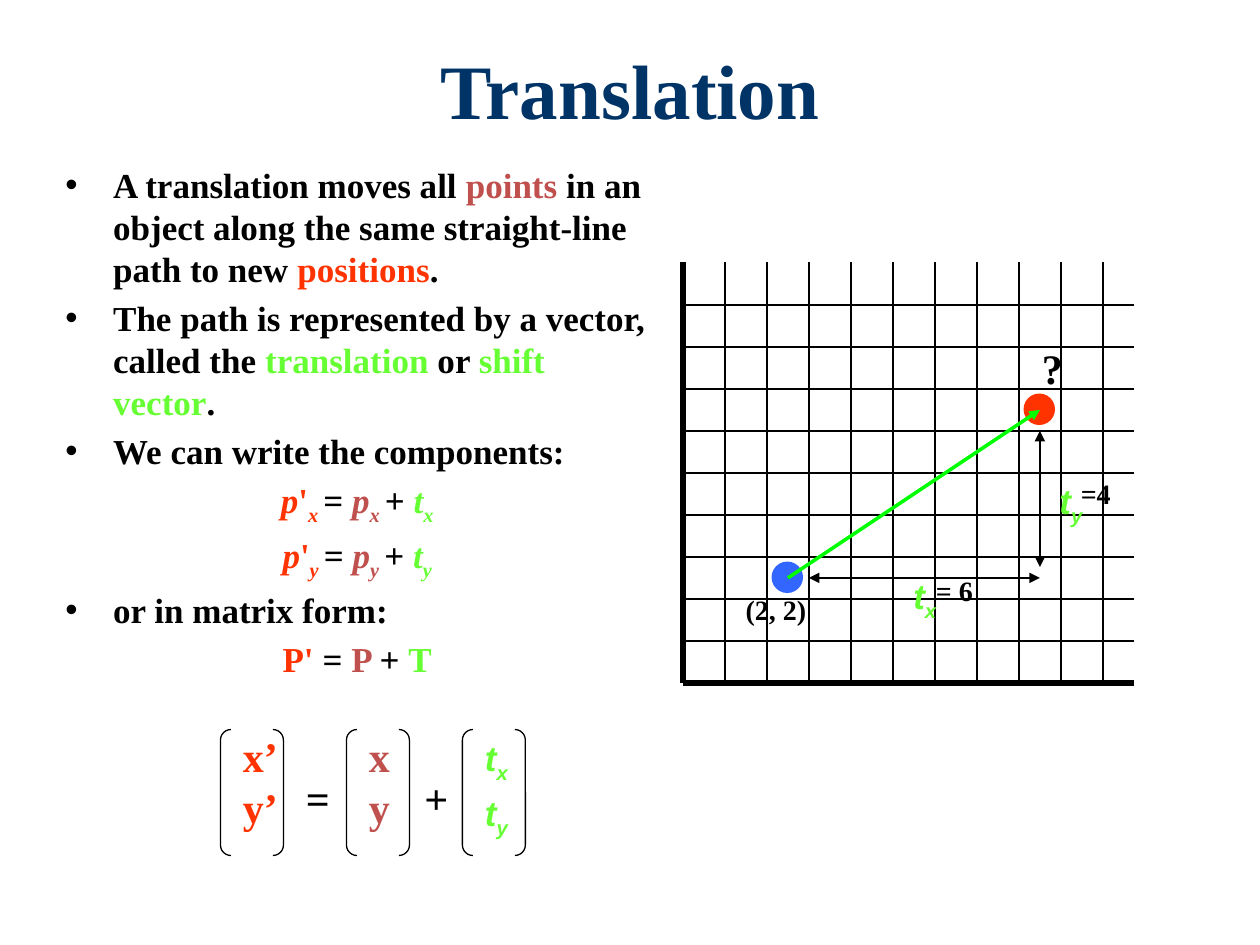
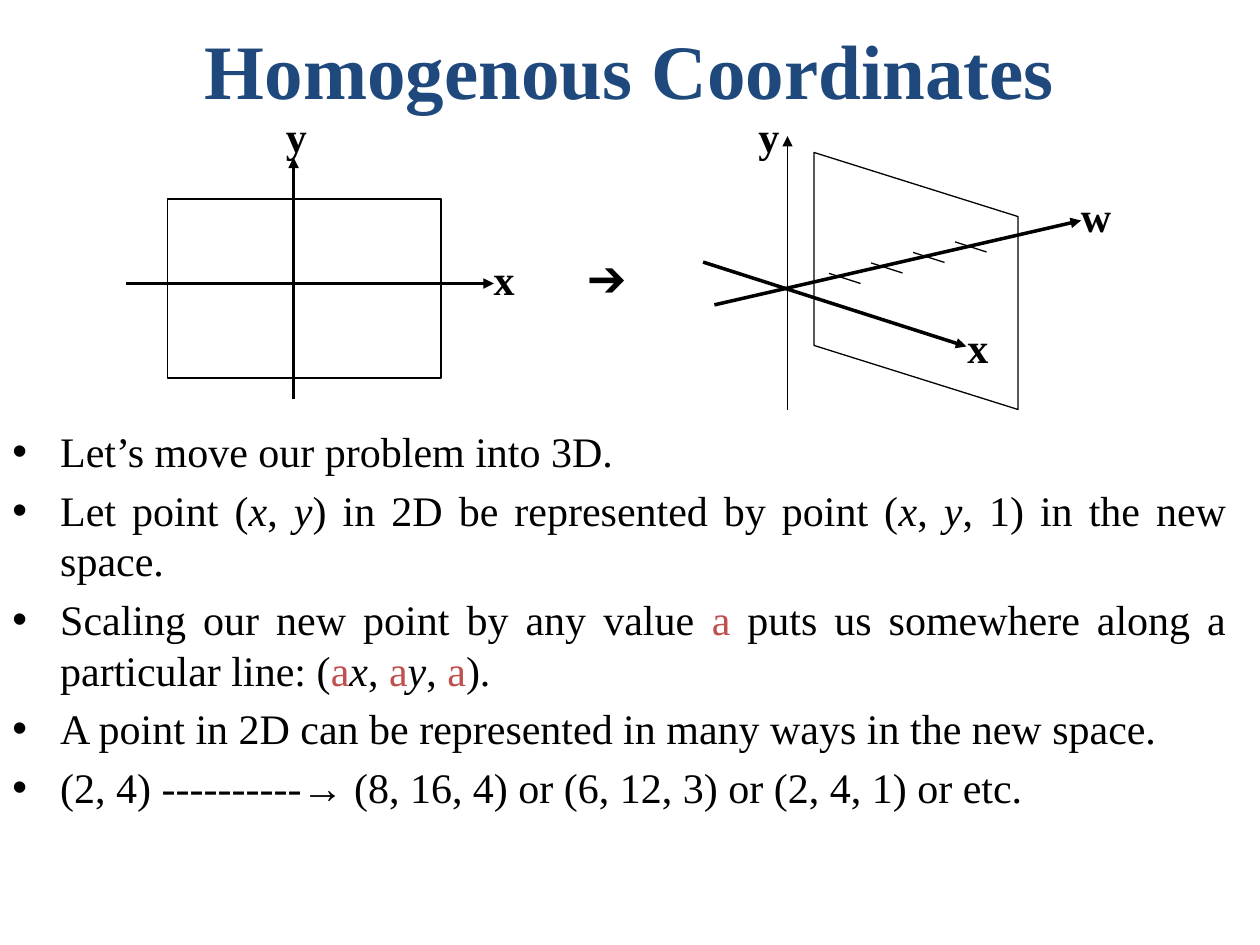
from lxml import etree
from pptx import Presentation
from pptx import util as u
from pptx.dml.color import RGBColor
from pptx.enum import shapes, text
from pptx.oxml.ns import qn

SERIF, SANS = "Times New Roman", "Arial"
BLACK, NAVY, BLUE_TITLE = "000000", "003366", "1F497D"
RED, BRICK, LIME, GREEN, BLUE = "FF3300", "C0504D", "66FF33", "00FF00", "3366FF"
THIN, AXIS, FRAME = 0.75, 2, 3
INDENT = 0.38
SHAPE, ALIGN = shapes.MSO_SHAPE, text.PP_ALIGN

# Coordinate grid of the translation diagram
ORIGIN_X, ORIGIN_Y, CELL = 5.42, 5.42, 1 / 3
GRID_RIGHT, GRID_TOP = 9, 2.08


def color(hex_code):
    return RGBColor.from_string(hex_code)


# Text: a run is (text, colour, flags), flags being i = italic, s = subscript
def add_runs(paragraph, runs, size, bold=True, font=SERIF):
    for words, hue, flags in runs:
        run = paragraph.add_run()
        run.text = words
        run.font.name, run.font.size = font, u.Pt(size)
        run.font.bold, run.font.italic = bold, "i" in flags
        run.font.color.rgb = color(hue)
        if "s" in flags:
            run._r.get_or_add_rPr().set("baseline", "-25000")


def add_frame(slide, left, top, width, height, wrap):
    box = slide.shapes.add_textbox(*map(u.Inches, (left, top, width, height)))
    box.text_frame.word_wrap = wrap
    return box.text_frame


def paragraphs(frame, count):
    return [frame.paragraphs[0]] + [frame.add_paragraph() for _ in range(count - 1)]


def add_title(slide, words, top, hue):
    frame = add_frame(slide, 0.75, top, 8.5, 1.25, True)
    frame.vertical_anchor = text.MSO_ANCHOR.MIDDLE
    frame.paragraphs[0].alignment = ALIGN.CENTER
    add_runs(frame.paragraphs[0], [(words, hue, "")], 44)


def add_body(slide, place, items, size, bold, space):
    """Each item is (alignment, bulleted, runs)."""
    frame = add_frame(slide, *place, True)
    for n, (paragraph, item) in enumerate(zip(paragraphs(frame, len(items)), items)):
        alignment, bulleted, runs = item
        paragraph.alignment = alignment
        paragraph.space_before = u.Pt(space if n else 0)
        props = paragraph._p.get_or_add_pPr()
        props.set("marL", str(u.Inches(INDENT)))
        props.set("indent", str(-u.Inches(INDENT)))
        if bulleted:
            etree.SubElement(props, qn("a:buFont")).set("typeface", SANS)
            etree.SubElement(props, qn("a:buChar")).set("char", "•")
        add_runs(paragraph, runs, size, bold)


def add_label(slide, place, lines, size=24, font=SERIF, space=0):
    """Short unwrapped text; each line is a list of runs."""
    frame = add_frame(slide, *place, False)
    frame.auto_size = text.MSO_AUTO_SIZE.SHAPE_TO_FIT_TEXT
    for n, (paragraph, runs) in enumerate(zip(paragraphs(frame, len(lines)), lines)):
        paragraph.space_before = u.Pt(space if n else 0)
        add_runs(paragraph, runs, size, font=font)


# Drawing
def add_line(slide, start, end, width=THIN, hue=BLACK, head=False, tail=False):
    line = slide.shapes.add_connector(
        shapes.MSO_CONNECTOR.STRAIGHT, *map(u.Inches, (*start, *end)))
    line.line.color.rgb = color(hue)
    line.line.width = u.Pt(width)
    outline = line.line._get_or_add_ln()
    for tag, wanted in (("a:headEnd", head), ("a:tailEnd", tail)):
        if wanted:
            etree.SubElement(outline, qn(tag)).set("type", "triangle")
    etree.SubElement(line._element.spPr, qn("a:effectLst"))


def add_figure(slide, kind, place, fill=None, adjust=None, rotation=0):
    """A filled figure without outline, or an empty one with a thin outline."""
    figure = slide.shapes.add_shape(kind, *map(u.Inches, place))
    figure.shadow.inherit = False
    figure.rotation = rotation
    if adjust is not None:
        figure.adjustments[0] = adjust
    if fill:
        figure.fill.solid()
        figure.fill.fore_color.rgb = color(fill)
        figure.line.fill.background()
    else:
        figure.fill.background()
        figure.line.color.rgb = color(BLACK)
        figure.line.width = u.Pt(THIN)


def cell_center(column, row):
    return ORIGIN_X + (column + 0.5) * CELL, ORIGIN_Y - (row + 0.5) * CELL


def component(axis):
    """Runs of the equation p' = p + t along one axis."""
    return [("p", RED, "i"), ("'", RED, ""), (axis + " ", RED, "is"), ("= ", BLACK, ""),
            ("p", BRICK, "i"), (axis + " ", BRICK, "is"), ("+ ", BLACK, ""), *shift(axis)]


def shift(axis):
    return [("t", LIME, "i"), (axis, LIME, "is")]


def plain(words, hue=BLACK):
    return (words, hue, "")


def add_grid(slide):
    origin = (ORIGIN_X, ORIGIN_Y)
    add_line(slide, (ORIGIN_X, GRID_TOP), origin, FRAME)
    add_line(slide, origin, (GRID_RIGHT, ORIGIN_Y), FRAME)
    for n in range(1, 11):
        x = ORIGIN_X + n * CELL
        add_line(slide, (x, GRID_TOP), (x, ORIGIN_Y))
    for n in range(1, 10):
        y = ORIGIN_Y - n * CELL
        add_line(slide, (ORIGIN_X, y), (GRID_RIGHT, y))


def build_translation(slide):
    add_title(slide, "Translation", 0.08, NAVY)
    add_body(slide, (0.42, 1.25, 4.83, 5.42), [
        (ALIGN.LEFT, True, [
            plain("A translation moves all "), plain("points", BRICK),
            plain(" in an object along the same straight-line path to new "),
            plain("positions", RED), plain(".")]),
        (ALIGN.LEFT, True, [
            plain("The path is represented by a vector, called the "),
            plain("translation", LIME), plain(" or "),
            plain("shift vector", LIME), plain(".")]),
        (ALIGN.LEFT, True, [plain("We can write the components:")]),
        (ALIGN.CENTER, False, component("x")),
        (ALIGN.CENTER, False, component("y")),
        (ALIGN.LEFT, True, [plain("or in matrix form:")]),
        (ALIGN.CENTER, False, [
            plain("P' ", RED), plain("= "), plain("P ", BRICK), plain("+ "),
            plain("T", LIME)]),
    ], size=20, bold=True, space=4)

    # Moved point on the grid
    add_grid(slide)
    before, after = cell_center(2, 2), cell_center(8, 6)
    for (x, y), hue in ((before, BLUE), (after, RED)):
        add_figure(slide, SHAPE.OVAL, (x - 0.13, y - 0.13, 0.25, 0.25), hue)
    add_line(slide, before, after, AXIS, GREEN, tail=True)
    add_line(slide, (6.42, before[1]), (after[0], before[1]), head=True, tail=True)
    add_line(slide, (after[0], 4.5), (after[0], 3.42), head=True, tail=True)
    add_label(slide, (7.15, 4.51, 0.39, 0.43), [shift("x")], 20, SANS)
    add_label(slide, (8.31, 3.76, 0.52, 0.43), [shift("y")], 20, SANS)
    for words, place in (("(2, 2)", (5.82, 4.65, 0.68, 0.37)),
                         ("= 6", (7.33, 4.5, 0.49, 0.37)),
                         ("=4", (8.48, 3.73, 0.44, 0.37))):
        add_label(slide, place, [[plain(words)]], 16)
    add_label(slide, (8.17, 2.67, 0.37, 0.5), [[plain("?")]])

    # Matrix form
    for left in (1.75, 2.75, 3.67):
        add_figure(slide, SHAPE.DOUBLE_BRACKET, (left, 5.79, 0.5, 1), adjust=0.167)
    add_label(slide, (1.83, 5.75, 0.48, 0.9), [[plain("x’", RED)], [plain("y’", RED)]])
    add_label(slide, (2.83, 5.75, 0.37, 0.9), [[plain("x", BRICK)], [plain("y", BRICK)]])
    add_label(slide, (3.75, 5.8, 0.44, 0.83), [shift("x"), shift("y")], 20, SANS, 4)
    for sign, left in (("=", 2.33), ("+", 3.27)):
        add_label(slide, (left, 6.08, 0.39, 0.5), [[plain(sign)]])


def build_homogenous(slide):
    add_title(slide, "Homogenous Coordinates", -0.08, BLUE_TITLE)
    x, y, comma = ("x", BLACK, "i"), ("y", BLACK, "i"), plain(", ")
    scale = plain("a", BRICK)
    add_body(slide, (0, 3.33, 9.83, 3.92), [
        (ALIGN.JUSTIFY, True, [plain("Let’s move our problem into 3D.")]),
        (ALIGN.JUSTIFY, True, [
            plain("Let point ("), x, comma, y,
            plain(") in 2D be represented by point ("), x, comma, y,
            plain(", 1) in the new space.")]),
        (ALIGN.JUSTIFY, True, [
            plain("Scaling our new point by any value "), scale,
            plain(" puts us somewhere along a particular line: ("),
            scale, x, comma, scale, y, comma, scale, plain(").")]),
        (ALIGN.JUSTIFY, True, [
            plain("A point in 2D can be represented in many ways in the new space.")]),
        (ALIGN.LEFT, True, [
            plain("(2, 4) ----------→ (8, 16, 4) or (6, 12, 3) or (2, 4, 1) or etc.")]),
    ], size=24, bold=False, space=4.8)

    # Plane in 2D
    add_figure(slide, SHAPE.RECTANGLE, (1.33, 1.58, 2.17, 1.42))
    add_line(slide, (1, 2.25), (3.92, 2.25), AXIS, tail=True)
    add_line(slide, (2.33, 3.17), (2.33, 1.25), AXIS, tail=True)

    # Plane in the new space, with ticks along w
    add_figure(slide, SHAPE.PARALLELOGRAM, (6.25, 1.42, 2.04, 1.62),
               adjust=0.314, rotation=270)
    add_line(slide, (6.25, 3.25), (6.25, 1.08), tail=True)
    add_line(slide, (5.58, 2.08), (7.67, 2.75), AXIS, tail=True)
    add_line(slide, (5.67, 2.42), (8.58, 1.75), AXIS, tail=True)
    for n in range(4):
        tick_x, tick_y = 6.58 + n * CELL, 2.17 - n * CELL / 4
        add_line(slide, (tick_x, tick_y), (tick_x + 0.25, tick_y + 0.08))

    # Axis names and the arrow between the planes
    for words, left, top, width in (
            ("y", 2.17, 0.83, 0.37), ("y", 5.92, 0.83, 0.37), ("x", 3.82, 1.96, 0.37),
            ("x", 7.58, 2.5, 0.37), ("w", 8.48, 1.46, 0.44), ("➔", 4.57, 1.96, 0.56)):
        add_label(slide, (left, top, width, 0.5), [[plain(words)]])


def main():
    deck = Presentation()
    deck.slide_width, deck.slide_height = u.Inches(10), u.Inches(7.5)
    for build in (build_translation, build_homogenous):
        build(deck.slides.add_slide(deck.slide_layouts[6]))
    deck.save("out.pptx")


if __name__ == "__main__":
    main()
